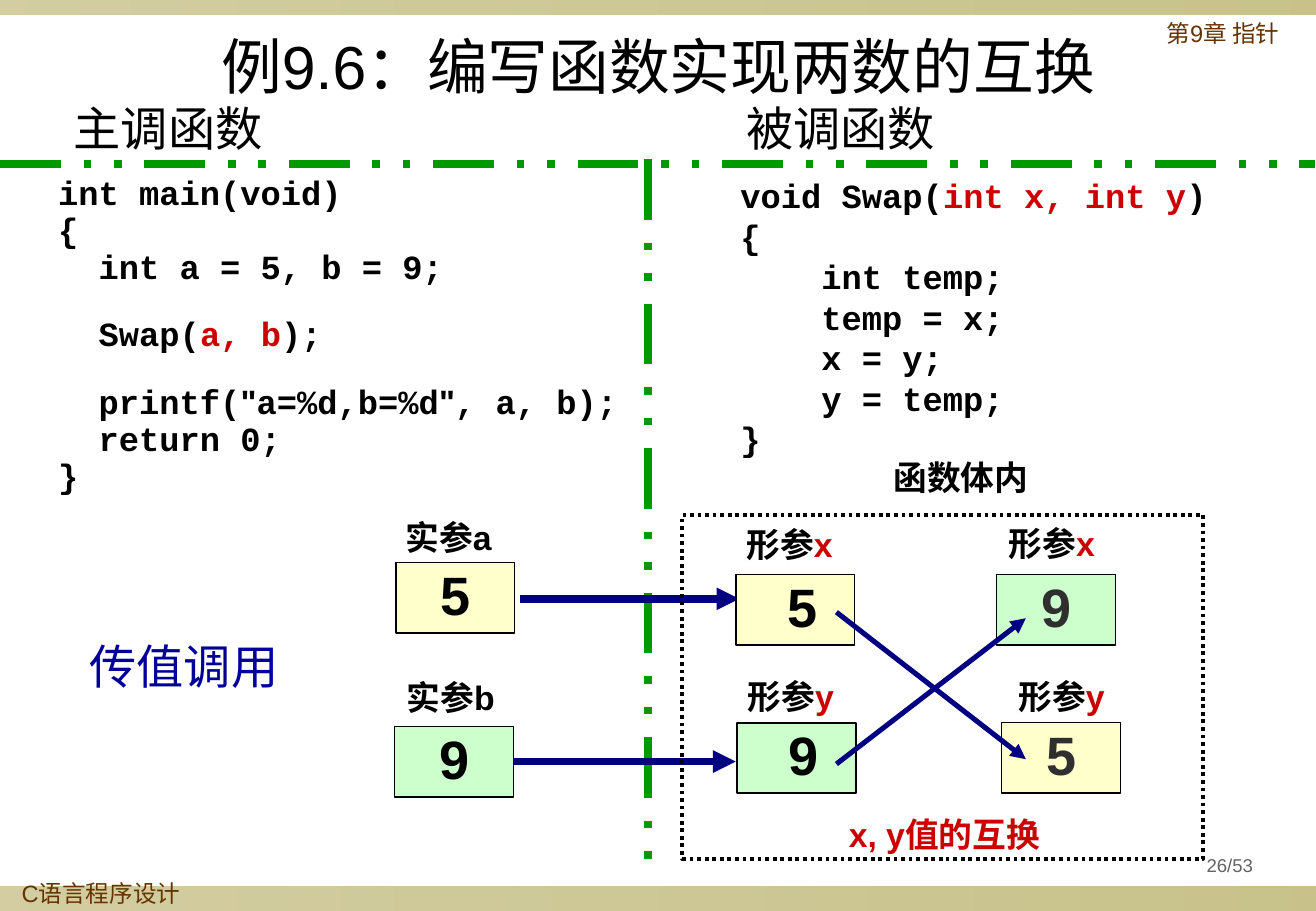
from lxml.etree import SubElement
from pptx import Presentation
from pptx.dml.color import RGBColor
from pptx.enum.dml import MSO_LINE
from pptx.enum.shapes import MSO_CONNECTOR, MSO_SHAPE
from pptx.enum.text import MSO_ANCHOR, PP_ALIGN
from pptx.oxml.ns import qn
from pptx.util import Emu, Pt

PX = 9144  # 100 px to the inch
WIDTH, HEIGHT = 1084, 750
CJK = "Noto Sans CJK SC"
BLACK, RED, NAVY, GREEN = "000000", "CC0000", "000080", "009900"
BROWN, OLIVE, GREY, CHARCOAL, BLUE = "663300", "918415", "636363", "2F2F2F", "000099"
CREAM, MINT = "FFFFCC", "CCFFCC"

MAIN_CODE = [
    "int main(void)",
    "{",
    "  int a = 5, b = 9;",
    ["  Swap(", ("a, b", RED), ");"],
    ["  printf(", ('"', None, "Arial"), "a=%d,b=%d", ('"', None, "Arial"), ", a, b);"],
    "  return 0;",
    "}",
]
SWAP_CODE = [
    ["void Swap(", ("int x, int y", RED), ")"],
    "{",
    "    int temp;",
    "    temp = x;",
    "    x = y;",
    "    y = temp;",
    "}",
]


def px(*lengths):
    return [Emu(length * PX) for length in lengths]


def rgb(color):
    return RGBColor.from_string(color)


def write(frame, lines, size, color=BLACK, font="Arial", bold=False,
          align=PP_ALIGN.LEFT, spacing=0.9, anchor=MSO_ANCHOR.TOP):
    """Fill a frame; a line is a string or a list of strings and (text, color, font)."""
    frame.word_wrap = True
    frame.vertical_anchor = anchor
    for index, line in enumerate(lines):
        paragraph = frame.paragraphs[0] if index == 0 else frame.add_paragraph()
        paragraph.alignment = align
        paragraph.line_spacing = spacing
        paragraph.font.size = Pt(size)
        paragraph.font.bold = bold
        paragraph.font.name = font
        paragraph.font.color.rgb = rgb(color)
        defaults = paragraph._p.pPr.find(qn("a:defRPr"))
        SubElement(defaults, qn("a:ea"), typeface=CJK)
        for part in [line] if isinstance(line, str) else line:
            text, run_color, run_font = (part, None, None) if isinstance(part, str) \
                else (*part, None)[:3]
            run = paragraph.add_run()
            run.text = text
            if run_color:
                run.font.color.rgb = rgb(run_color)
            if run_font:
                run.font.name = run_font


def add_text(slide, box, lines, size, **style):
    frame = slide.shapes.add_textbox(*px(*box)).text_frame
    write(frame, lines, size, **style)
    return frame


def add_rect(slide, box):
    rect = slide.shapes.add_shape(MSO_SHAPE.RECTANGLE, *px(*box))
    rect.shadow.inherit = False
    return rect


def add_line(slide, start, end, color, width, dash=None, arrow=False):
    line = slide.shapes.add_connector(MSO_CONNECTOR.STRAIGHT, *px(*start, *end))
    line.line.color.rgb = rgb(color)
    line.line.width = Pt(width)
    if dash:
        line.line.dash_style = dash
    if arrow:
        SubElement(line._element.spPr.find(qn("a:ln")), qn("a:tailEnd"), type="triangle")
    SubElement(line._element.spPr, qn("a:effectLst"))
    return line


def band(slide, box):
    """Olive strip whose opacity runs from 40% to 50%."""
    strip = add_rect(slide, box)
    strip.line.fill.background()
    strip.fill.gradient()
    strip.fill.gradient_angle = 0
    for stop, position in zip(strip.fill.gradient_stops, (0, 1)):
        stop.color.rgb = rgb(OLIVE)
        stop.position = position
    colors = strip._element.spPr.iter(qn("a:srgbClr"))
    for color, opacity in zip(list(colors), (40, 50)):
        for effect in list(color):
            color.remove(effect)
        SubElement(color, qn("a:alpha"), val=str(opacity * 1000))


def frame_slide(slide):
    band(slide, (0, 730, WIDTH, 20))
    band(slide, (0, 0, WIDTH, 12))
    add_text(slide, (8, 721, 180, 32), ["C语言程序设计"], 14, color=BROWN)
    add_text(slide, (951, 13, 115, 39), ["第9章 指针"], 14, color=BROWN)
    add_text(slide, (38, 28, 1008, 61), ["例9.6：编写函数实现两数的互换"], 36,
             align=PP_ALIGN.CENTER, spacing=0.85)
    add_text(slide, (959, 698, 108, 31), ["26/53"], 11, color=GREY,
             align=PP_ALIGN.CENTER, anchor=MSO_ANCHOR.MIDDLE)


def dividers(slide):
    for start, end in (((534, 131), (534, 722)), ((0, 135), (1083, 135))):
        add_line(slide, start, end, GREEN, 4.5, MSO_LINE.DASH_DOT_DOT)


def code_panel(slide, left, top, width, heading, heading_indent, code, leading, gaps=()):
    """Heading over a listing; gaps holds the lines that stand apart."""
    add_text(slide, (left + heading_indent, top, 200, 52), [heading], 28, font=CJK)
    listing = add_text(slide, (left, top + 57, width, 260), code, 20,
                       font="Courier New", bold=True, spacing=Pt(leading))
    for index in gaps:
        listing.paragraphs[index].space_before = Pt(18)


def variable(slide, left, top, value, fill, label, label_offset,
             color=BLACK, border=1, inset=10):
    """Value box with its label; label_offset is measured from the box corner."""
    cell = add_rect(slide, (left, top, 98, 58))
    cell.fill.solid()
    cell.fill.fore_color.rgb = rgb(fill)
    cell.line.color.rgb = rgb(BLACK)
    cell.line.width = Pt(border)
    write(cell.text_frame, [value], 32, color=color, bold=True, align=PP_ALIGN.CENTER)
    cell.text_frame.margin_left = px(inset)[0]
    dx, dy = label_offset
    add_text(slide, (left + dx, top + dy, 124, 40), [label], 20, bold=True)
    return cell


def actual_arguments(slide, left, top):
    variable(slide, left + 1, top, "5", CREAM, "实参a", (-2, -39))
    argument_b = variable(slide, left, top + 135, "9", MINT, "实参b", (0, -42))
    add_line(slide, (left + 103, top + 30), (left + 284, top + 30), NAVY, 4.5, arrow=True)
    pass_b = add_line(slide, (left + 98, top + 164), (left + 281, top + 164),
                      NAVY, 4.5, arrow=True)
    pass_b.begin_connect(argument_b, 3)


def function_body(slide, left, top):
    """Dotted frame in which x and y trade values."""
    def formal(dx, dy, value, fill, name, label_offset, **style):
        variable(slide, left + dx, top + dy, value, fill,
                 ["形参", (name, RED)], label_offset, **style)

    swapped = {"color": CHARCOAL, "border": 0.75}
    formal(44, 49, "5", CREAM, "x", (-1, -43), inset=22)
    formal(45, 171, "9", MINT, "y", (-1, -40), inset=22)
    formal(259, 49, "9", MINT, "x", (0, -44), **swapped)
    formal(263, 171, "5", CREAM, "y", (4, -40), **swapped)
    for start_y, end_y in ((205, 85), (80, 201)):
        add_line(slide, (left + 127, top + start_y), (left + 283, top + end_y),
                 NAVY, 3, arrow=True)
    outline = add_rect(slide, (left, top, 429, 283))
    outline.fill.background()
    outline.line.color.rgb = rgb(BLACK)
    outline.line.width = Pt(2.25)
    outline.line.dash_style = MSO_LINE.ROUND_DOT
    for box, caption, color in (
        ((left + 110, top - 49, 239, 40), "函数体内", BLACK),
        ((left + 47, top + 245, 338, 40), "x, y值的互换", RED),
    ):
        add_text(slide, box, [caption], 20, color=color, bold=True, align=PP_ALIGN.CENTER)


def main():
    deck = Presentation()
    deck.slide_width, deck.slide_height = px(WIDTH, HEIGHT)
    slide = deck.slides.add_slide(deck.slide_layouts[6])
    frame_slide(slide)
    dividers(slide)
    code_panel(slide, 38, 82, 562, "主调函数", 13, MAIN_CODE, 22, gaps=(3, 4))
    code_panel(slide, 600, 82, 420, "被调函数", 5, SWAP_CODE, 24)
    actual_arguments(slide, 325, 463)
    function_body(slide, 562, 424)
    add_text(slide, (64, 525, 239, 52), ["传值调用"], 28, color=BLUE, font=CJK)
    deck.save("out.pptx")


if __name__ == "__main__":
    main()
